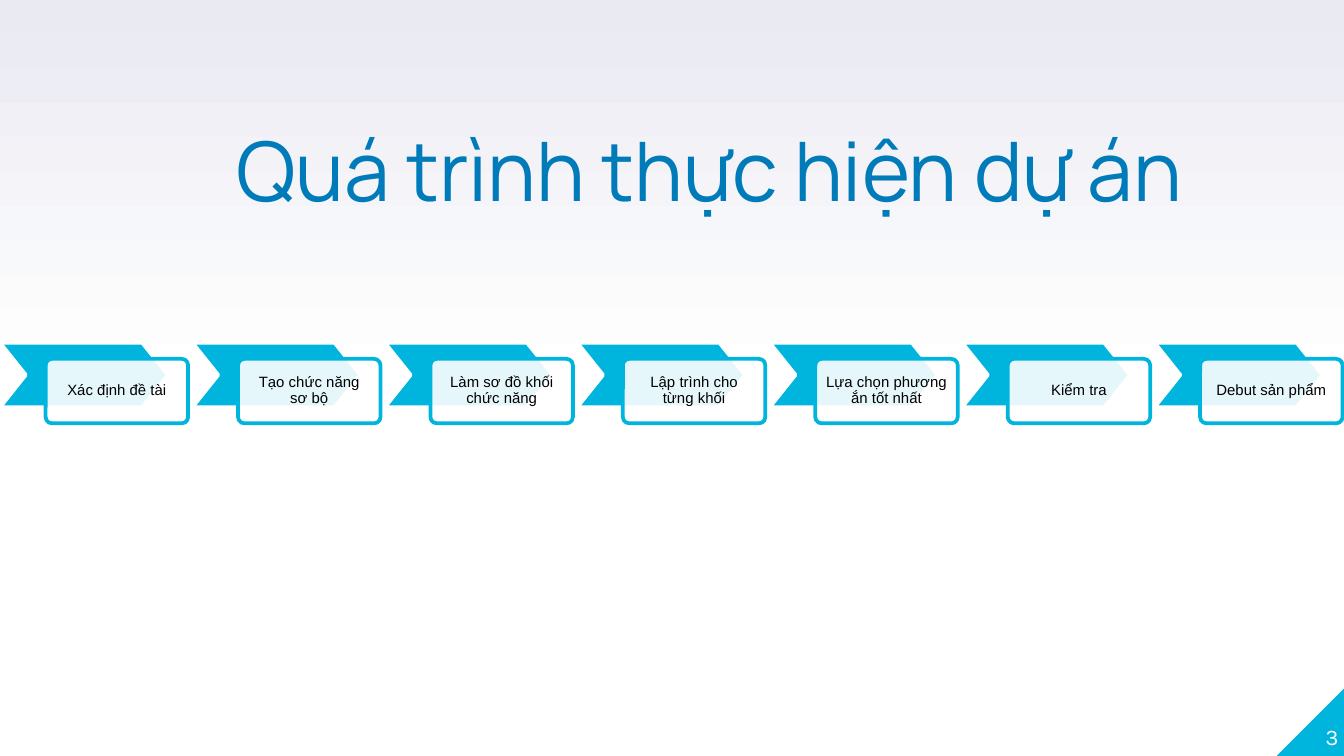
"""Build the project process slide: a title above a row of seven chevron steps."""
from pptx import Presentation
from pptx import util as u
from pptx.dml.color import RGBColor
from pptx.enum import shapes, text
from pptx.oxml.ns import qn
from lxml import etree

TITLE = "Quá trình thực hiện dự án"
STEPS = [
    "Xác định đề tài",
    "Tạo chức năng sơ bộ",
    "Làm sơ đồ khối chức năng",
    "Lập trình cho từng khối",
    "Lựa chọn phương ắn tốt nhất",
    "Kiểm tra",
    "Debut sản phẩm",
]
PAGE_NUMBER = "3"

CYAN = RGBColor(0x00, 0xB5, 0xDD)
BLUE = RGBColor(0x00, 0x7B, 0xB9)
LAVENDER = RGBColor(0xE9, 0xEA, 0xF2)
WHITE = RGBColor(0xFF, 0xFF, 0xFF)
BLACK = RGBColor(0x00, 0x00, 0x00)

WIDTH = 10
HEIGHT = WIDTH * 9 / 16
LAST_LEFT = 8.59
PITCH = LAST_LEFT / (len(STEPS) - 1)
ROW_TOP = 2.55
CHEVRON_SIZE = (1.25, 0.48)
CARD_SIZE = (1.06, 0.48)
CARD_SHIFT = (0.34, 0.12)
LABEL_SIZE = (1.03, 0.46)
CORNER = 0.51

MARGINS = ["margin_left", "margin_top", "margin_right", "margin_bottom"]
FRAMES = {
    "title": {"word_wrap": False},
    "label": {"word_wrap": True, "vertical_anchor": text.MSO_ANCHOR.MIDDLE,
              **dict.fromkeys(MARGINS, u.Pt(4.5))},
    "number": {"word_wrap": True, "vertical_anchor": text.MSO_ANCHOR.BOTTOM,
               **dict.fromkeys(MARGINS, 0)},
}
PARAGRAPHS = {
    "title": {"alignment": text.PP_ALIGN.LEFT},
    "label": {"alignment": text.PP_ALIGN.CENTER, "line_spacing": 0.9},
    "number": {"alignment": text.PP_ALIGN.RIGHT},
}
FONTS = {
    "title": ({"name": "Manrope", "size": u.Pt(44)}, BLUE),
    "label": ({"name": "Arial", "size": u.Pt(8)}, BLACK),
    "number": ({"name": "Karla", "size": u.Pt(12)}, WHITE),
}


def apply(target, values):
    for key, value in values.items():
        setattr(target, key, value)


def add_words(parent, left, top, size, words, style):
    frame = parent.add_textbox(*map(u.Inches, (left, top, *size))).text_frame
    apply(frame, FRAMES[style])
    paragraph = frame.paragraphs[0]
    apply(paragraph, PARAGRAPHS[style])
    run = paragraph.add_run()
    run.text = words
    values, color = FONTS[style]
    apply(run.font, values)
    run.font.color.rgb = color


def add_block(parent, preset, left, top, size, fill, line=None, adjust=None):
    block = parent.add_shape(preset, *map(u.Inches, (left, top, *size)))
    block.shadow.inherit = False
    block.fill.solid()
    block.fill.fore_color.rgb = fill
    if line is None:
        block.line.fill.background()
    else:
        block.line.color.rgb = line
        block.line.width = u.Pt(2)
    if adjust is not None:
        block.adjustments[0] = adjust
    return block


def set_opacity(block, percent):
    color = block._element.spPr.find(qn("a:solidFill"))[0]
    etree.SubElement(color, qn("a:alpha")).set("val", str(percent * 1000))


def add_step(row, column, words):
    left = column * PITCH
    card_left, card_top = left + CARD_SHIFT[0], ROW_TOP + CARD_SHIFT[1]
    add_block(row, shapes.MSO_SHAPE.CHEVRON, left, ROW_TOP, CHEVRON_SIZE, CYAN, WHITE, 0.4)
    card = add_block(row, shapes.MSO_SHAPE.ROUNDED_RECTANGLE, card_left, card_top,
                     CARD_SIZE, WHITE, CYAN, 0.1)
    set_opacity(card, 90)
    inset_x, inset_y = [(outer - inner) / 2 for outer, inner in zip(CARD_SIZE, LABEL_SIZE)]
    add_words(row, card_left + inset_x, card_top + inset_y, LABEL_SIZE, words, "label")


def paint_background(slide):
    fill = slide.background.fill
    fill.gradient()
    fill.gradient_angle = 90
    for stop, (position, color) in zip(fill.gradient_stops, [(0.5, WHITE), (1, LAVENDER)]):
        stop.position = position
        stop.color.rgb = color


def main():
    deck = Presentation()
    deck.slide_width, deck.slide_height = u.Inches(WIDTH), u.Inches(HEIGHT)
    slide = deck.slides.add_slide(deck.slide_layouts[6])
    paint_background(slide)

    corner = add_block(slide.shapes, shapes.MSO_SHAPE.RIGHT_TRIANGLE, 9.5,
                       HEIGHT - CORNER, (CORNER, CORNER), CYAN)
    corner._element.spPr.find(qn("a:xfrm")).set("flipH", "1")
    add_words(slide.shapes, 9.46, 5.07, (0.5, 0.51), PAGE_NUMBER, "number")

    row = slide.shapes.add_group_shape().shapes
    for column, words in enumerate(STEPS):
        add_step(row, column, words)

    add_words(slide.shapes, 1.66, 0.84, (7.37, 0.84), TITLE, "title")
    deck.save("out.pptx")


if __name__ == "__main__":
    main()
